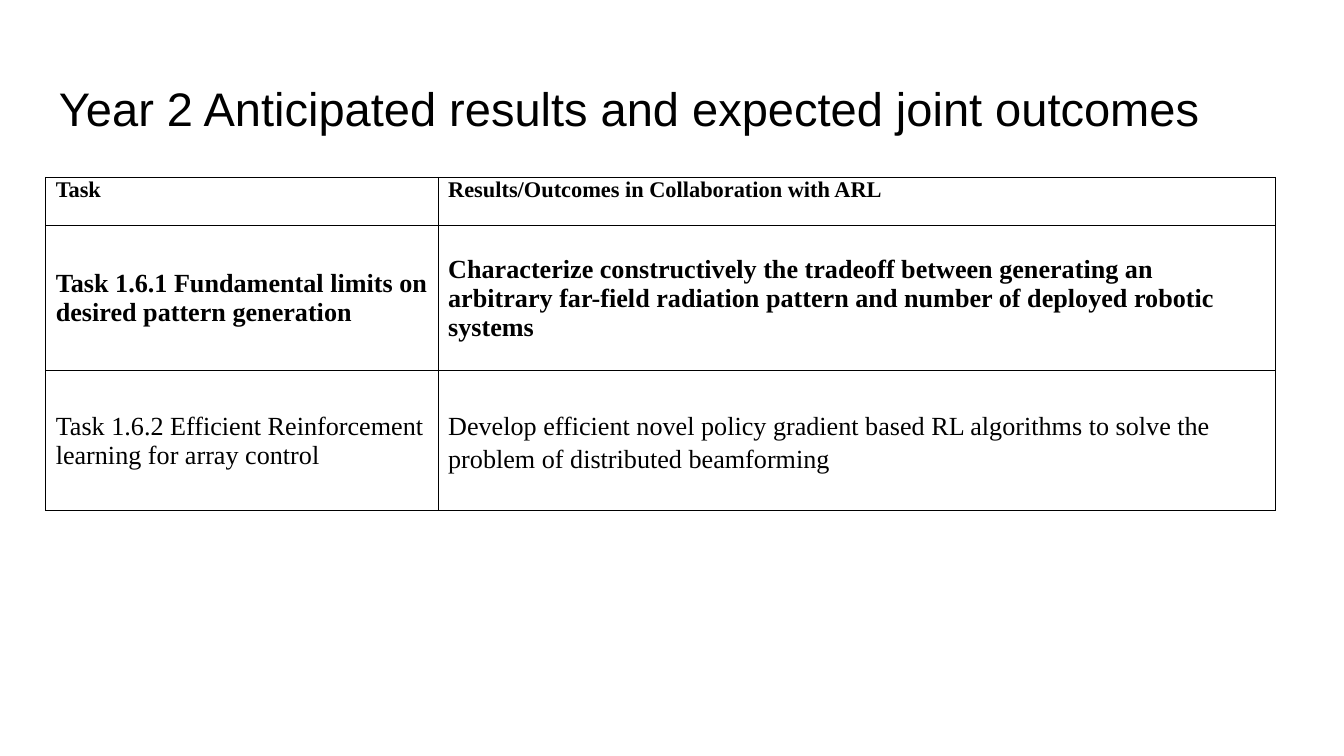
from dataclasses import dataclass

from lxml import etree
from pptx import Presentation
from pptx.dml.color import RGBColor
from pptx.enum.text import MSO_ANCHOR
from pptx.oxml.ns import qn
from pptx.util import Inches, Pt

TOP, MIDDLE = MSO_ANCHOR.TOP, MSO_ANCHOR.MIDDLE
BORDER_TAGS = ("a:lnL", "a:lnR", "a:lnT", "a:lnB")


@dataclass(frozen=True)
class Theme:
    """Colours, fonts and type sizes of the slide."""

    ink: str = "000000"
    title_font: str = "Arial"
    table_font: str = "Times New Roman"
    title_size: float = 25.2
    header_size: float = 12
    body_size: float = 14
    border_width: float = 0.63


THEME = Theme()
TITLE = "Year 2 Anticipated results and expected joint outcomes"
COLUMN_WIDTHS = (2.92, 6.23)
ROW_HEIGHTS = (0.36, 1.08, 1.04)
LEFT_MARGIN = Pt(5.4)
RIGHT_MARGINS = (Inches(0.07), Inches(0.1))
TASK_ROWS = (
    ("Task", "Results/Outcomes in Collaboration with ARL"),
    (
        "Task 1.6.1 Fundamental limits on desired pattern generation",
        "Characterize constructively the tradeoff between generating an arbitrary "
        "far-field radiation pattern and number of deployed robotic systems",
    ),
    (
        "Task 1.6.2 Efficient Reinforcement learning for array control",
        "Develop efficient novel policy gradient based RL algorithms to solve the "
        "problem of distributed beamforming",
    ),
)


def write_text(text_frame, text, font_name, size, bold=False):
    """Set the text of a frame and format its runs."""
    text_frame.text = text
    text_frame.word_wrap = True
    for run in text_frame.paragraphs[0].runs:
        run.font.name = font_name
        run.font.size = Pt(size)
        run.font.bold = bold
        run.font.color.rgb = RGBColor.from_string(THEME.ink)


def add_borders(cell):
    """Draw a thin solid line on each side of a cell."""
    properties = cell._tc.get_or_add_tcPr()
    for position, tag in enumerate(BORDER_TAGS):
        line = etree.Element(qn(tag), w=str(Pt(THEME.border_width)))
        fill = etree.SubElement(line, qn("a:solidFill"))
        etree.SubElement(fill, qn("a:srgbClr"), val=THEME.ink)
        properties.insert(position, line)


def add_title(slide, left, top, width, height):
    """Place the title in the given box."""
    box = slide.shapes.add_textbox(*map(Inches, (left, top, width, height)))
    text_frame = box.text_frame
    write_text(text_frame, TITLE, THEME.title_font, THEME.title_size)
    text_frame.vertical_anchor = TOP
    text_frame.margin_left = text_frame.margin_right = Inches(0.1)
    text_frame.margin_top = text_frame.margin_bottom = Inches(0.1)


def add_task_table(slide, left, top, width, height):
    """Place the table of tasks and outcomes in the given box."""
    box = map(Inches, (left, top, width, height))
    table = slide.shapes.add_table(len(ROW_HEIGHTS), len(COLUMN_WIDTHS), *box).table
    table.first_row = table.horz_banding = False
    for column, share in zip(table.columns, COLUMN_WIDTHS):
        column.width = Inches(width * share / sum(COLUMN_WIDTHS))
    for row, share in zip(table.rows, ROW_HEIGHTS):
        row.height = Inches(height * share / sum(ROW_HEIGHTS))
    for row_index, texts in enumerate(TASK_ROWS):
        is_header = row_index == 0
        size = THEME.header_size if is_header else THEME.body_size
        for column_index, text in enumerate(texts):
            cell = table.cell(row_index, column_index)
            write_text(cell.text_frame, text, THEME.table_font, size, row_index < 2)
            cell.vertical_anchor = TOP if is_header else MIDDLE
            cell.margin_left = LEFT_MARGIN
            cell.margin_right = RIGHT_MARGINS[column_index]
            cell.margin_top = cell.margin_bottom = 0
            cell.fill.background()
            add_borders(cell)
    table.cell(2, 1).text_frame.paragraphs[0].line_spacing = 1.15


def main():
    """Build and save the presentation."""
    presentation = Presentation()
    presentation.slide_width = Inches(10)
    presentation.slide_height = presentation.slide_width * 9 // 16
    slide = presentation.slides.add_slide(presentation.slide_layouts[6])
    add_title(slide, 0.34, 0.49, 9.32, 0.63)
    add_task_table(slide, 0.34, 1.32, sum(COLUMN_WIDTHS), sum(ROW_HEIGHTS))
    presentation.save("out.pptx")


if __name__ == "__main__":
    main()
